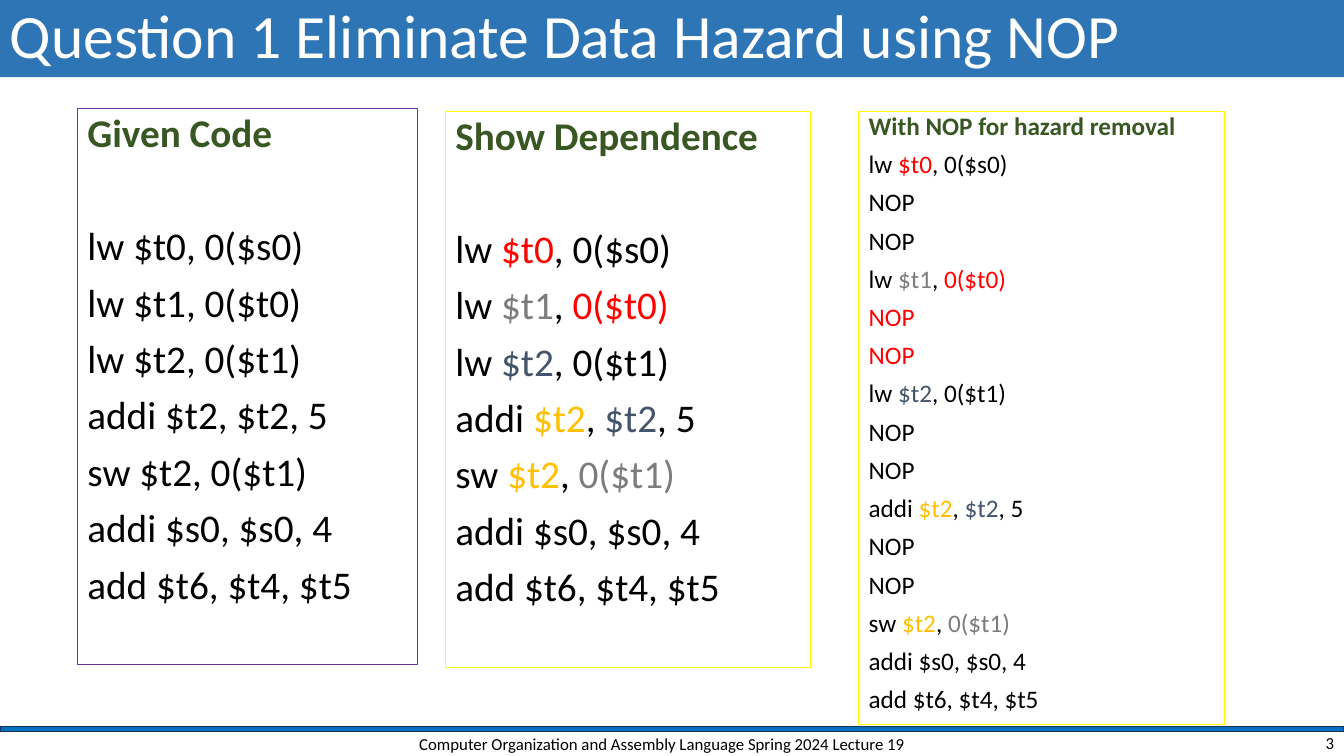
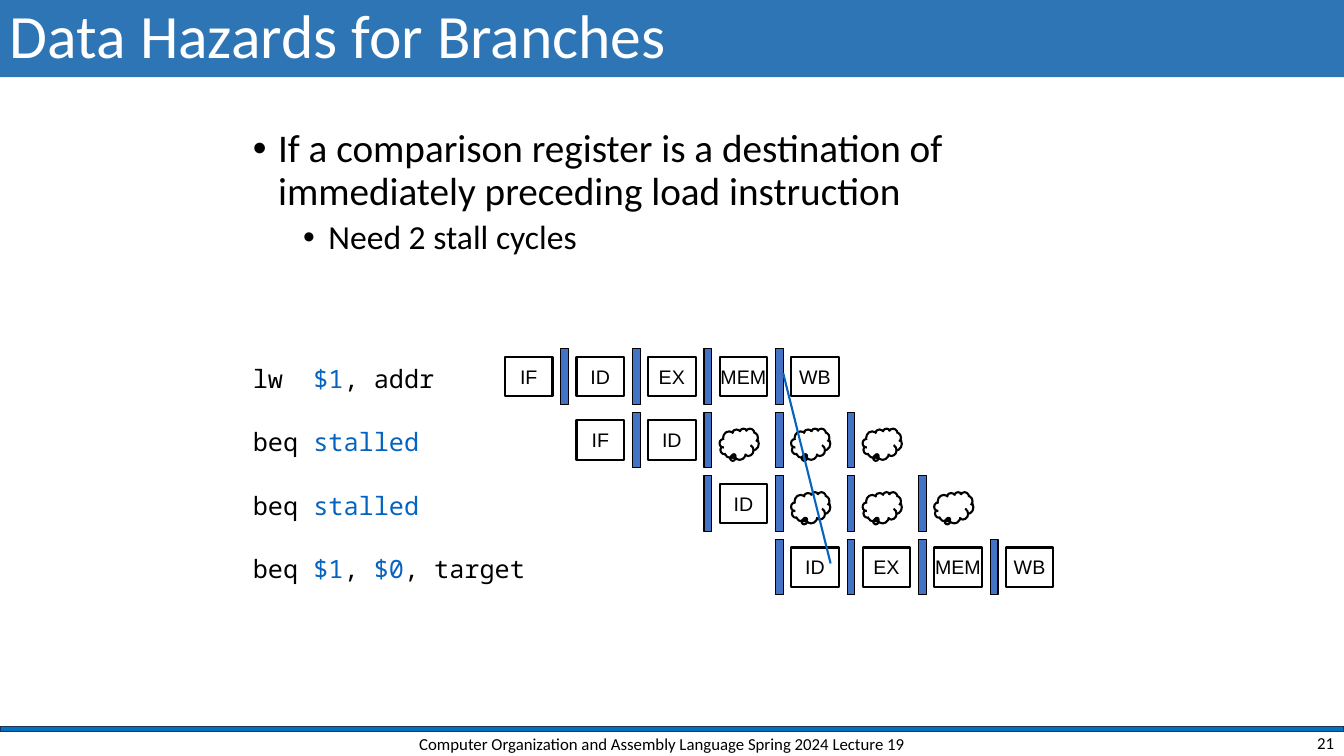
from lxml import etree
from pptx import Presentation
from pptx import util as u
from pptx.dml.color import RGBColor
from pptx.enum import shapes, text
from pptx.oxml.ns import qn

Pt = u.Pt
KIND = shapes.MSO_SHAPE
ALIGN = text.PP_ALIGN
ANCHOR = text.MSO_ANCHOR

BLACK = RGBColor(0x00, 0x00, 0x00)
WHITE = RGBColor(0xFF, 0xFF, 0xFF)
TITLE_BLUE = RGBColor(0x2E, 0x75, 0xB6)
BAND_BLUE = RGBColor(0x00, 0x70, 0xC0)
BAND_EDGE = RGBColor(0x1E, 0x32, 0x56)
HEADING_GREEN = RGBColor(0x38, 0x57, 0x23)
PURPLE = RGBColor(0x70, 0x30, 0xA0)
YELLOW = RGBColor(0xFF, 0xFF, 0x00)
RED = RGBColor(0xFF, 0x00, 0x00)
GRAY = RGBColor(0x7C, 0x7C, 0x7C)
SLATE = RGBColor(0x44, 0x54, 0x6A)
GOLD = RGBColor(0xFF, 0xC0, 0x00)
REGISTER_BLUE = RGBColor(0x44, 0x72, 0xC4)
LINK_BLUE = RGBColor(0x05, 0x63, 0xC1)

MIDDLE = {"word_wrap": True, "vertical_anchor": ANCHOR.MIDDLE}
TOP = {"word_wrap": True, "vertical_anchor": ANCHOR.TOP}
FOOTER_FONT = {"name": "Calibri", "size": Pt(12)}
FOOTER = "Computer Organization and Assembly Language Spring 2024 Lecture 19"


def add_box(page, kind, place, fill=None, line=None, weight=0.75):
    box = page.shapes.add_shape(kind, *map(Pt, place))
    box.shadow.inherit = False
    if fill is None:
        box.fill.background()
    else:
        box.fill.solid()
        box.fill.fore_color.rgb = fill
    if line is None:
        box.line.fill.background()
    else:
        box.line.color.rgb = line
        box.line.width = Pt(weight)
    return box


def write(box, lines, frame_format, para_format, font_format):
    frame = box.text_frame
    for name, value in frame_format.items():
        setattr(frame, name, value)
    for index, line in enumerate(lines):
        para = frame.add_paragraph() if index else frame.paragraphs[0]
        for name, value in para_format.items():
            if index or name != "space_before":
                setattr(para, name, value)
        for words, colour in line:
            span = para.add_run()
            span.text = words
            span.font.color.rgb = colour
            for name, value in font_format.items():
                setattr(span.font, name, value)
    return frame.paragraphs


deck = Presentation()
deck.slide_width = Pt(960)
deck.slide_height = Pt(540)

pages = []
for title, number in [
    ("Question 1 Eliminate Data Hazard using NOP", "3"),
    ("Data Hazards for Branches", "21"),
]:
    page = deck.slides.add_slide(deck.slide_layouts[6])
    pages.append(page)
    add_box(page, KIND.RECTANGLE, (0, 519, 960, 3.6), BAND_BLUE, BAND_EDGE, 1)
    title_bar = add_box(page, KIND.RECTANGLE, (0, 0, 960, 55.2), TITLE_BLUE)
    write(title_bar, [[(title, WHITE)]], MIDDLE,
          {"alignment": ALIGN.LEFT, "line_spacing": 0.9},
          {"name": "Calibri", "size": Pt(44)})
    for words, place, alignment in [
        (FOOTER, (282, 521.5, 382, 20), ALIGN.CENTER),
        (number, (744, 521.5, 216, 18), ALIGN.RIGHT),
    ]:
        box = page.shapes.add_textbox(*map(Pt, place))
        write(box, [[(words, BLACK)]], MIDDLE, {"alignment": alignment}, FOOTER_FONT)

code_page, branch_page = pages

instructions = [
    ([("lw ", BLACK), ("$t0", RED), (", 0($s0)", BLACK)], BLACK),
    ([("lw ", BLACK), ("$t1", GRAY), (", ", BLACK), ("0($t0)", RED)], RED),
    ([("lw ", BLACK), ("$t2", SLATE), (", 0($t1)", BLACK)], BLACK),
    ([("addi ", BLACK), ("$t2", GOLD), (", ", BLACK), ("$t2", SLATE), (", 5", BLACK)], BLACK),
    ([("sw ", BLACK), ("$t2", GOLD), (", ", BLACK), ("0($t1)", GRAY)], None),
    ([("addi $s0, $s0, 4", BLACK)], None),
    ([("add $t6, $t4, $t5", BLACK)], None),
]
plain, coloured, padded = [], [], []
for line, nop_colour in instructions:
    plain.append([("".join(words for words, colour in line), BLACK)])
    coloured.append(line)
    padded.append(line)
    if nop_colour is not None:
        padded += [[("NOP", nop_colour)]] * 2

for heading, lines, place, edge, size, spacing, gap in [
    ("Given Code", plain, (55.4, 77.6, 242.6, 397.4), PURPLE, 28, 0.9, 50.75),
    ("Show Dependence", coloured, (318.2, 79.4, 261, 397.4), YELLOW, 28, 0.9, 50.75),
    ("With NOP for hazard removal", padded, (613.4, 79.4, 261.4, 438.4), YELLOW, 18, 0.8, 10),
]:
    box = add_box(code_page, KIND.RECTANGLE, place, line=edge)
    paras = write(box, [[(heading, HEADING_GREEN)]] + lines, TOP,
                  {"alignment": ALIGN.LEFT, "line_spacing": spacing, "space_before": Pt(10)},
                  {"name": "Calibri", "size": Pt(size)})
    paras[0].runs[0].font.bold = True
    paras[1].space_before = Pt(gap)

body = branch_page.shapes.add_textbox(Pt(173.5), Pt(88.6), Pt(651.6), Pt(187.2))
paras = write(
    body,
    [[("If a comparison register is a destination of immediately preceding load instruction", BLACK)],
     [("Need 2 stall cycles", BLACK)]],
    {**TOP, "margin_right": Pt(30)},
    {"line_spacing": 0.9, "space_before": Pt(5)},
    {"name": "Calibri"},
)
for para, level, margin, size in zip(paras, (0, 1), (18, 54), (28, 24)):
    para.level = level
    para.runs[0].font.size = Pt(size)
    props = para._p.get_or_add_pPr()
    props.set("marL", str(Pt(margin)))
    props.set("indent", str(Pt(-18)))
    etree.SubElement(props, qn("a:buFont")).set("typeface", "Arial")
    etree.SubElement(props, qn("a:buChar")).set("char", "•")

STEP_X, STEP_Y = 51.1, 45.4
STALL = "stall"
pipeline = [
    ([("lw  ", BLACK), ("$1", LINK_BLUE), (", addr", BLACK)], 145,
     ["IF", "ID", "EX", "MEM", "WB"]),
    ([("beq ", BLACK), ("stalled", LINK_BLUE)], 134,
     ["IF", "ID", STALL, STALL, STALL]),
    ([("beq ", BLACK), ("stalled", LINK_BLUE)], 134,
     [None, "ID", STALL, STALL, STALL]),
    ([("beq ", BLACK), ("$1", LINK_BLUE), (", ", BLACK), ("$0", LINK_BLUE), (", target", BLACK)], 210,
     [None, "ID", "EX", "MEM", "WB"]),
]
stage_frame = {"word_wrap": False, "vertical_anchor": ANCHOR.MIDDLE,
               "margin_left": 0, "margin_right": 0, "margin_top": 0, "margin_bottom": 0}
for row, (label, width, stages) in enumerate(pipeline):
    top = 254.9 + row * STEP_Y
    box = branch_page.shapes.add_textbox(Pt(173.5), Pt(top + 0.7), Pt(width), Pt(29))
    write(box, [label], {"word_wrap": False}, {}, {"name": "Noto Sans Mono", "size": Pt(18)})
    for slot, stage in enumerate(stages):
        left = 360.7 + (row + slot) * STEP_X
        if stage == STALL:
            cloud = add_box(branch_page, KIND.CLOUD_CALLOUT, (left, top + 5.8, 28, 22.3),
                            line=BLACK, weight=1.5)
            cloud.adjustments[0] = -0.13
            cloud.adjustments[1] = 0.36
        elif stage:
            box = add_box(branch_page, KIND.RECTANGLE, (left, top, 34, 28), line=BLACK, weight=1.5)
            write(box, [[(stage, BLACK)]], stage_frame, {"alignment": ALIGN.CENTER},
                  {"name": "Arial", "size": Pt(14)})
        if slot < 4:
            add_box(branch_page, KIND.RECTANGLE, (left + 40, top - 5.8, 5.6, 39.6),
                    REGISTER_BLUE, BLACK)

forward = branch_page.shapes.add_connector(
    shapes.MSO_CONNECTOR.STRAIGHT, Pt(559.4), Pt(266.4), Pt(593.3), Pt(402.5))
forward.line.color.rgb = LINK_BLUE
forward.line.width = Pt(1.5)
etree.SubElement(forward._element.spPr, qn("a:effectLst"))

deck.save("out.pptx")
